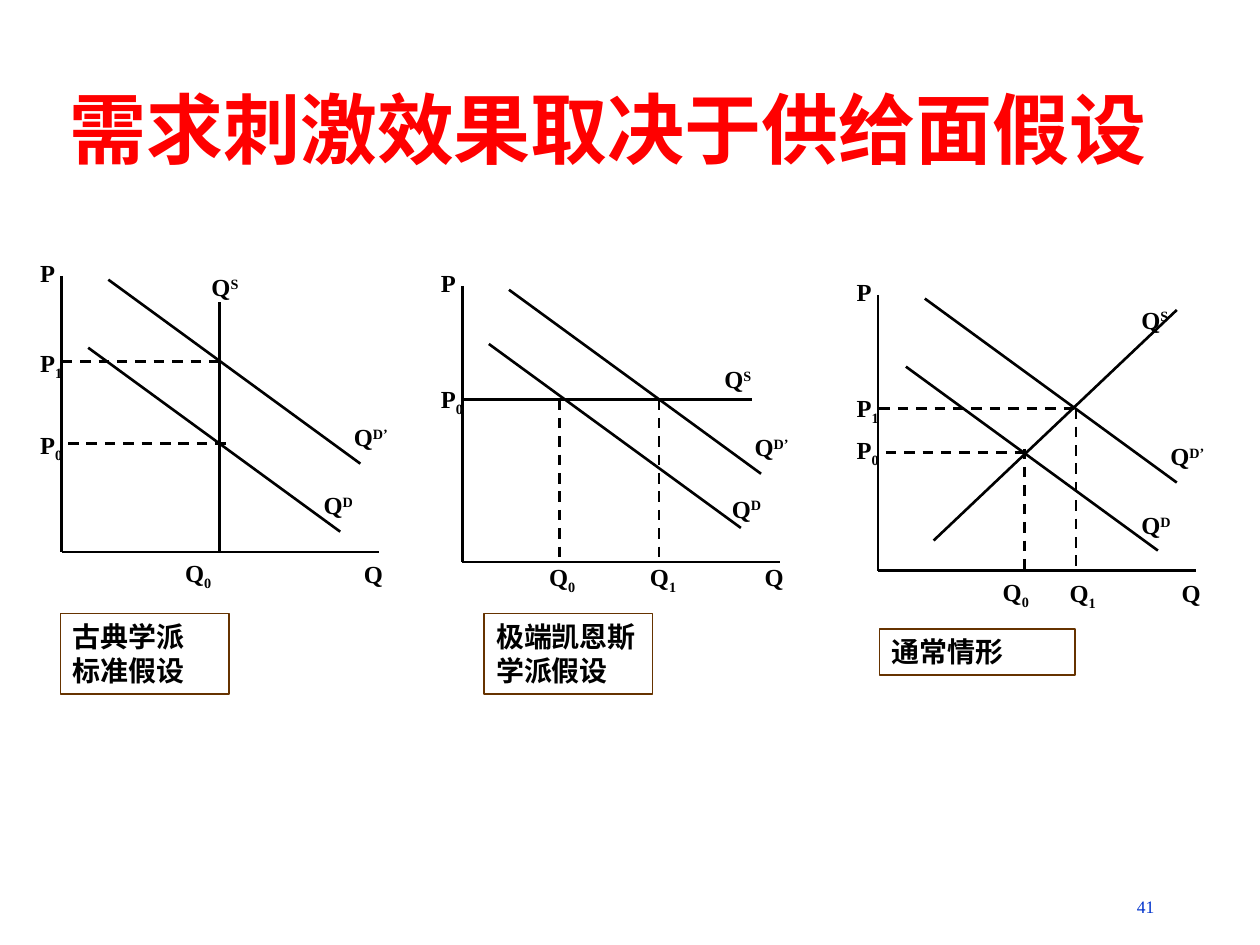
import pptx
import pptx.dml.color
import pptx.enum.dml
import pptx.enum.shapes
import pptx.enum.text
import pptx.oxml.ns
import pptx.util

Inches = pptx.util.Inches
Pt = pptx.util.Pt
ALIGN = pptx.enum.text.PP_ALIGN
ANCHOR = pptx.enum.text.MSO_ANCHOR

THEME = {
    "line": "000000",
    "border": "663300",
    "line_width": 1.5,
    "border_width": 1,
    "chinese": "Noto Sans CJK SC",
    "title": {"name": "Noto Sans CJK SC", "size": Pt(44), "bold": True, "color": "FF0000"},
    "label": {"name": "Times New Roman", "size": Pt(14), "bold": True, "color": "000000"},
    "caption": {"name": "Arial", "size": Pt(16), "bold": True, "color": "000000"},
    "number": {"name": "Times New Roman", "size": Pt(10), "bold": False, "color": "0033CC"},
}
SUPERSCRIPT, SUBSCRIPT = 30, -25

TITLE = ("需求刺激效果取决于供给面假设", (0.35, 0.6, 8.96, 0.83))
PAGE_NUMBER = ("41", (7.18, 7.06, 2.08, 0.28))

# Each diagram is measured from the top of its price axis.
# Labels are (letter, script, baseline shift, left, top).
AXIS_HEIGHT, AXIS_WIDTH = 2.19, 2.52
PRICE_LABEL_LEFT = -0.27
DEMAND_RUN, DEMAND_DROP = 2.0, 1.46
NEW_DEMAND_START = (0.37, 0.03)
COMMON_LABELS = [
    ("P", "", 0, PRICE_LABEL_LEFT, -0.19),
    ("Q", "D’", SUPERSCRIPT, 2.22, 1.11),
]
DIAGRAMS = [
    {
        "origin": (0.49, 2.19),
        "demand_start": (0.21, 0.57),
        "supply": (1.25, 0.21, 1.25, 2.2),
        "guides": [(0, 0.68, 1.29, 0.68), (0.05, 1.33, 1.33, 1.33)],
        "labels": [
            ("P", "1", SUBSCRIPT, PRICE_LABEL_LEFT, 0.52),
            ("P", "0", SUBSCRIPT, PRICE_LABEL_LEFT, 1.17),
            ("Q", "0", SUBSCRIPT, 0.88, 2.19),
            ("Q", "S", SUPERSCRIPT, 1.09, -0.08),
            ("Q", "D", SUPERSCRIPT, 1.98, 1.65),
            ("Q", "", 0, 2.3, 2.2),
        ],
        "caption": (["古典学派", "标准假设"], (0.48, 4.87, 1.34, 0.64)),
    },
    {
        "origin": (3.67, 2.27),
        "demand_start": (0.21, 0.46),
        "supply": (0, 0.9, 2.3, 0.9),
        "guides": [(0.77, 0.9, 0.77, 2.2), (1.56, 0.9, 1.56, 2.2)],
        "labels": [
            ("P", "0", SUBSCRIPT, PRICE_LABEL_LEFT, 0.73),
            ("Q", "0", SUBSCRIPT, 0.59, 2.14),
            ("Q", "1", SUBSCRIPT, 1.39, 2.14),
            ("Q", "S", SUPERSCRIPT, 1.98, 0.57),
            ("Q", "D", SUPERSCRIPT, 2.04, 1.6),
            ("Q", "", 0, 2.3, 2.14),
        ],
        "caption": (["极端凯恩斯学派假设"], (3.84, 4.87, 1.34, 0.64)),
    },
    {
        "origin": (6.97, 2.34),
        "demand_start": (0.22, 0.57),
        "supply": (2.37, 0.12, 0.44, 1.95),
        "guides": [
            (0.01, 0.9, 1.58, 0.9),
            (0.06, 1.25, 1.18, 1.25),
            (1.16, 1.22, 1.16, 2.2),
            (1.57, 0.9, 1.57, 2.2),
        ],
        "labels": [
            ("P", "1", SUBSCRIPT, PRICE_LABEL_LEFT, 0.73),
            ("P", "0", SUBSCRIPT, PRICE_LABEL_LEFT, 1.06),
            ("Q", "0", SUBSCRIPT, 0.89, 2.19),
            ("Q", "1", SUBSCRIPT, 1.42, 2.2),
            ("Q", "S", SUPERSCRIPT, 1.99, 0.03),
            ("Q", "D", SUPERSCRIPT, 1.99, 1.66),
            ("Q", "", 0, 2.31, 2.2),
        ],
        "caption": (["通常情形"], (6.98, 4.99, 1.55, 0.37)),
    },
]


def rgb(value):
    return pptx.dml.color.RGBColor.from_string(value)


def add_span(para, text, style, baseline=0):
    span = para.add_run()
    span.text = text
    for key, value in THEME[style].items():
        if key == "color":
            span.font.color.rgb = rgb(value)
        else:
            setattr(span.font, key, value)
    properties = span.font._element
    if style in ("title", "caption"):
        east_asian = properties.makeelement(
            pptx.oxml.ns.qn("a:ea"), {"typeface": THEME["chinese"]})
        properties.find(pptx.oxml.ns.qn("a:latin")).addnext(east_asian)
    if baseline:
        properties.set("baseline", str(baseline * 1000))


def fill_text(box, paragraphs, style, alignment, anchor=ANCHOR.TOP):
    """Each paragraph is a list of (text, baseline shift) spans."""
    frame = box.text_frame
    frame.word_wrap = True
    frame.vertical_anchor = anchor
    for index, spans in enumerate(paragraphs):
        para = frame.add_paragraph() if index else frame.paragraphs[0]
        para.alignment = alignment
        for text, baseline in spans:
            add_span(para, text, style, baseline)


def add_text(shapes, bounds, spans, style, alignment, anchor=ANCHOR.TOP):
    box = shapes.add_textbox(*map(Inches, bounds))
    fill_text(box, [spans], style, alignment, anchor)


def add_line(shapes, origin, ends, dashed=False):
    left, top = origin
    x1, y1, x2, y2 = ends
    line = shapes.add_connector(
        pptx.enum.shapes.MSO_CONNECTOR.STRAIGHT,
        Inches(left + x1), Inches(top + y1), Inches(left + x2), Inches(top + y2))
    line.line.color.rgb = rgb(THEME["line"])
    line.line.width = Pt(THEME["line_width"])
    if dashed:
        line.line.dash_style = pptx.enum.dml.MSO_LINE.DASH
    properties = line._element.spPr
    properties.append(properties.makeelement(pptx.oxml.ns.qn("a:effectLst"), {}))


def add_diagram(page, diagram):
    shapes = page.shapes.add_group_shape().shapes
    origin = diagram["origin"]
    curves = [(x, y, x + DEMAND_RUN, y + DEMAND_DROP)
              for x, y in (NEW_DEMAND_START, diagram["demand_start"])]
    axes = [(0, 0, 0, AXIS_HEIGHT), (0, AXIS_HEIGHT, AXIS_WIDTH, AXIS_HEIGHT)]
    for ends in axes + curves + [diagram["supply"]]:
        add_line(shapes, origin, ends)
    for ends in diagram["guides"]:
        add_line(shapes, origin, ends, dashed=True)
    for letter, script, shift, x, y in COMMON_LABELS + diagram["labels"]:
        size = (0.8, 0.54) if len(script) > 1 else (0.51, 0.38)
        spans = [(letter, 0)] + ([(script, shift)] if script else [])
        add_text(shapes, (origin[0] + x, origin[1] + y, *size), spans, "label", ALIGN.JUSTIFY)


def add_caption(page, lines, bounds):
    box = page.shapes.add_shape(
        pptx.enum.shapes.MSO_SHAPE.RECTANGLE, *map(Inches, bounds))
    box.shadow.inherit = False
    box.fill.background()
    box.line.color.rgb = rgb(THEME["border"])
    box.line.width = Pt(THEME["border_width"])
    fill_text(box, [[(line, 0)] for line in lines], "caption", ALIGN.LEFT)


def main():
    deck = pptx.Presentation()
    deck.slide_width, deck.slide_height = Inches(10), Inches(7.5)
    page = deck.slides.add_slide(deck.slide_layouts[6])
    number, number_bounds = PAGE_NUMBER
    add_text(page.shapes, number_bounds, [(number, 0)], "number", ALIGN.RIGHT)
    title, title_bounds = TITLE
    add_text(page.shapes, title_bounds, [(title, 0)], "title", ALIGN.CENTER, ANCHOR.MIDDLE)
    for diagram in DIAGRAMS:
        add_diagram(page, diagram)
        add_caption(page, *diagram["caption"])
    deck.save("out.pptx")


if __name__ == "__main__":
    main()
